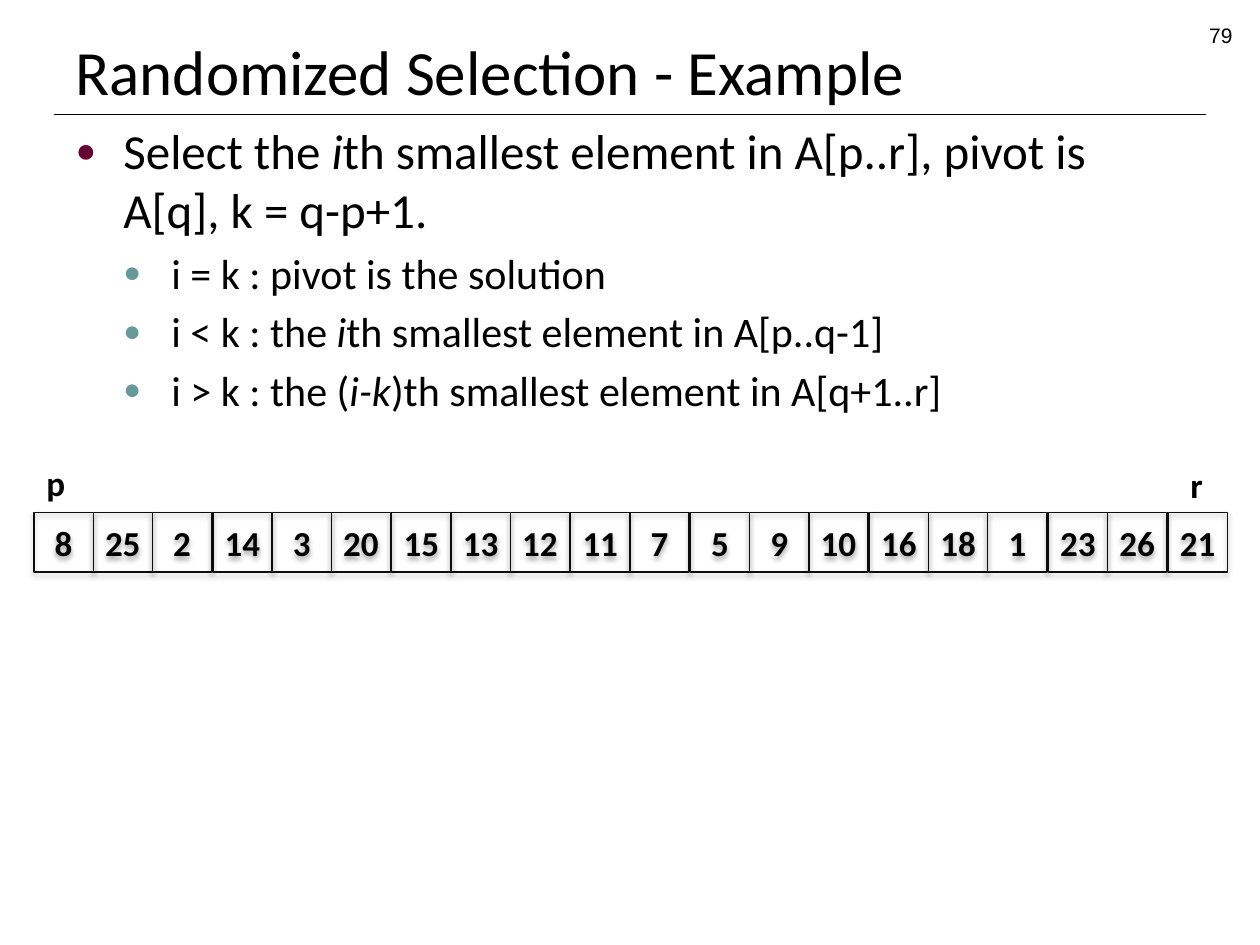
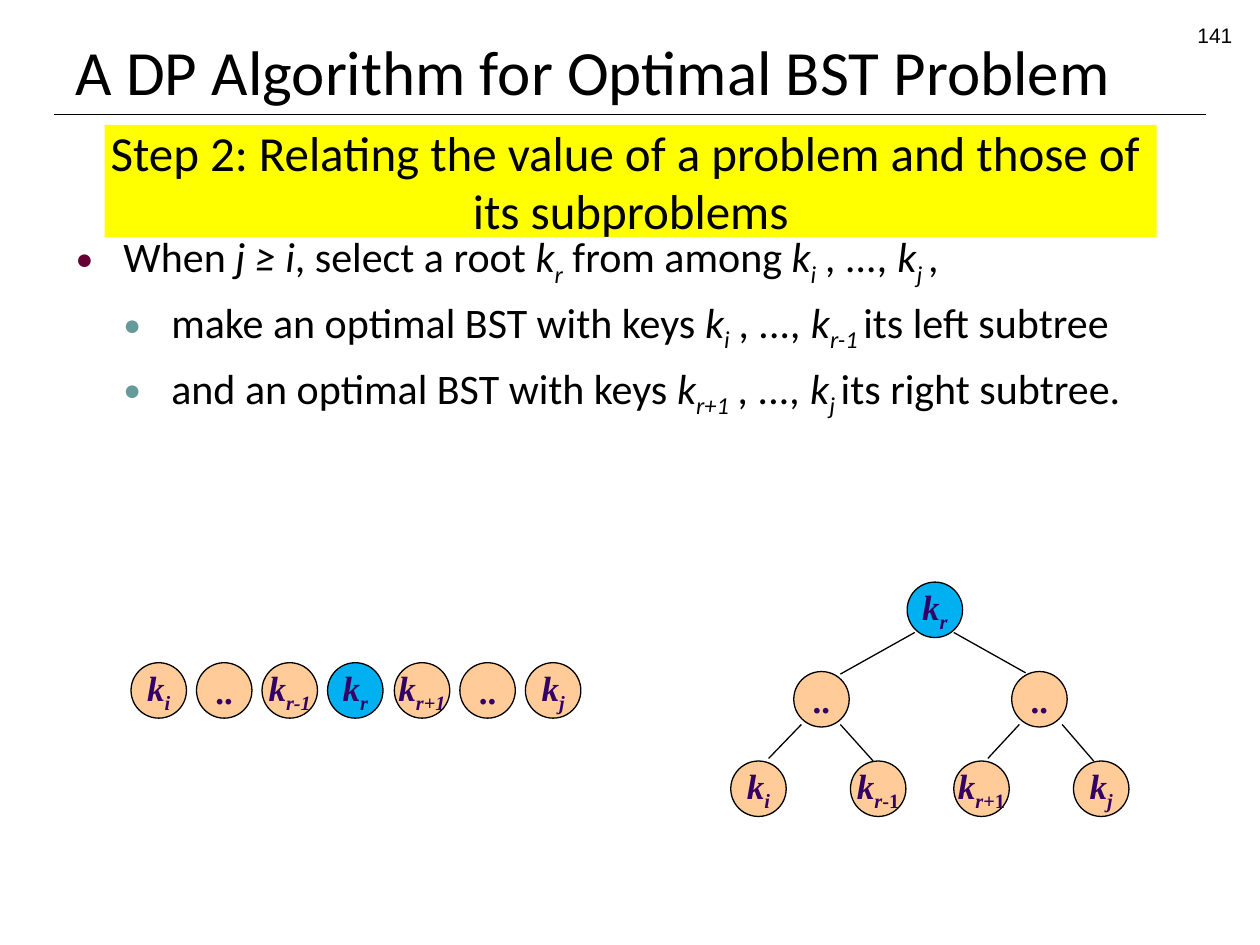
"""Build two algorithm slides: randomized selection and optimal BST."""
from lxml import etree
from pptx import Presentation
from pptx.dml.color import RGBColor
from pptx.enum.shapes import MSO_CONNECTOR, MSO_SHAPE
from pptx.enum.text import MSO_ANCHOR, PP_ALIGN
from pptx.oxml.ns import qn
from pptx.util import Emu, Pt

RECT, OVAL = MSO_SHAPE.RECTANGLE, MSO_SHAPE.OVAL
LINE = MSO_CONNECTOR.STRAIGHT
LEFT, MID, RIGHT = PP_ALIGN.LEFT, PP_ALIGN.CENTER, PP_ALIGN.RIGHT
CENTER, BOTTOM = MSO_ANCHOR.MIDDLE, MSO_ANCHOR.BOTTOM

SCALE = 9144
BLACK, EDGE, YELLOW = "000000", "0D0D0D", "FFFF00"
PEACH, BLUE, INK = "FFCC99", "00B0F0", "330066"
BULLETS = ("660033", "669999")
SANS, SERIF, PLAIN = "Calibri", "Times New Roman", "Arial"
NODE = 44


def px(*nums):
    return [Emu(num * SCALE) for num in nums]


def color(code):
    return RGBColor.from_string(code)


def child(node, tag, **attrs):
    return etree.SubElement(node, qn(tag), attrs)


class Deck:
    def __init__(self):
        self.show = Presentation()
        self.show.slide_width, self.show.slide_height = px(1000, 750)
        self.slide = None

    def page(self, title, number):
        self.slide = self.show.slides.add_slide(self.show.slide_layouts[1])
        self.line((43, 91), (957, 91))
        head = self.slide.shapes.title
        self.place(head, (50, 13, 900, 78))
        head.text_frame.vertical_anchor = BOTTOM
        self.text(head.text_frame, [[(title, "")]], 36, align=LEFT)
        self.label((755, 13, 233, 28), number, 12, PLAIN, align=RIGHT, wrap=True)

    def place(self, shape, box):
        shape.left, shape.top, shape.width, shape.height = px(*box)

    def runs(self, para, parts, size, font=SANS, ink=BLACK, bold=False):
        for text, style in parts:
            run = para.add_run()
            run.text = text
            face = run.font
            face.size, face.name, face.bold = Pt(size), font, bold
            face.italic = "i" in style
            face.color.rgb = color(ink)
            if "s" in style:
                run._r.get_or_add_rPr().set("baseline", "-25000")

    def text(self, frame, lines, size, font=SANS, ink=BLACK, bold=False, align=MID):
        for spot, parts in enumerate(lines):
            para = frame.add_paragraph() if spot else frame.paragraphs[0]
            para.alignment = align
            self.runs(para, parts, size, font, ink, bold)

    def body(self, box, items):
        holder = self.slide.placeholders[1]
        self.place(holder, box)
        frame = holder.text_frame
        for spot, (level, size, parts) in enumerate(items):
            para = frame.add_paragraph() if spot else frame.paragraphs[0]
            para.level = level
            props = para._p.get_or_add_pPr()
            step = 38 * SCALE
            props.set("marL", str(step * (level + 1)))
            props.set("indent", str(-step))
            child(child(props, "a:buClr"), "a:srgbClr", val=BULLETS[level])
            child(props, "a:buSzPct", val="70000")
            child(props, "a:buFont", typeface=PLAIN)
            child(props, "a:buChar", char="●")
            if not spot:
                para.space_before = Pt(0)
            self.runs(para, parts, size)

    def label(self, box, text, size, font=SANS, bold=False, align=LEFT, wrap=False):
        frame = self.slide.shapes.add_textbox(*px(*box)).text_frame
        frame.word_wrap = wrap
        self.text(frame, [[(text, "")]], size, font, bold=bold, align=align)

    def shape(self, kind, box, lines, size, fill=None, edge=None, **look):
        shape = self.slide.shapes.add_shape(kind, *px(*box))
        shape.shadow.inherit = False
        if fill:
            shape.fill.solid()
            shape.fill.fore_color.rgb = color(fill)
        else:
            shape.fill.background()
        if edge:
            shape.line.color.rgb = color(edge)
            shape.line.width = Pt(0.75)
        else:
            shape.line.fill.background()
        frame = shape.text_frame
        frame.word_wrap = False
        frame.vertical_anchor = CENTER
        self.text(frame, lines, size, **look)
        return shape

    def cell(self, box, text):
        shape = self.shape(RECT, box, [[(text, "")]], 20, edge=EDGE, bold=True)
        effects = shape._element.spPr.find(qn("a:effectLst"))
        shade = child(effects, "a:outerShdw", blurRad=str(Pt(3.1)),
                      dist=str(Pt(1.8)), dir="5400000", rotWithShape="0")
        tint = child(shade, "a:srgbClr", val=BLACK)
        child(tint, "a:alpha", val="35000")

    def node(self, left, top, parts, fill=PEACH):
        self.shape(OVAL, (left, top, NODE, NODE), [parts], 20, fill, BLACK,
                   font=SERIF, ink=INK, bold=True)

    def line(self, start, end):
        wire = self.slide.shapes.add_connector(LINE, *px(*start, *end))
        wire.line.color.rgb = color(BLACK)
        wire.line.width = Pt(0.75)
        child(wire._element.spPr, "a:effectLst")


def select(deck):
    deck.page("Randomized Selection - Example", "79")
    deck.body((50, 91, 900, 669), [
        (0, 28, [("Select the ", ""), ("i", "i"),
                 ("th smallest element in A[p..r], pivot is A[q], k = q-p+1.", "")]),
        (1, 24, [("i = k : pivot is the solution", "")]),
        (1, 24, [("i < k : the ", ""), ("i", "i"),
                 ("th smallest element in A[p..q-1]", "")]),
        (1, 24, [("i > k : the (", ""), ("i-k", "i"),
                 (")th smallest element in A[q+1..r]", "")]),
    ])
    values = (8, 25, 2, 14, 3, 20, 15, 13, 12, 11,
              7, 5, 9, 10, 16, 18, 1, 23, 26, 21)
    for spot, value in enumerate(values):
        deck.cell((27 + 900 * spot // 19, 407, 47, 47), str(value))
    deck.label((27, 361, 35, 44), "p", 20, bold=True)
    deck.label((935, 363, 30, 44), "r", 20, bold=True)


def tree(deck):
    deck.page("A DP Algorithm for Optimal BST Problem", "141")
    deck.shape(RECT, (83, 99, 835, 89), [
        [("Step 2: Relating the value of a problem and those of ", "")],
        [("its subproblems", "")],
    ], 28, YELLOW)
    deck.body((50, 178, 900, 630), [
        (0, 24, [("When ", ""), ("j ≥ i", "i"), (", select a root ", ""),
                 ("k", "i"), ("r", "is"), (" from among ", ""), ("k", "i"),
                 ("i", "is"), (" , ..., k", "i"), ("j ", "is"), (",", "")]),
        (1, 24, [("make an optimal BST with keys ", ""), ("k", "i"), ("i", "is"),
                 (" , ..., k", "i"), ("r-1 ", "is"), ("its left subtree", "")]),
        (1, 24, [("and an optimal BST with keys ", ""), ("k", "i"), ("r+1", "is"),
                 (" , ..., k", "i"), ("j ", "is"), ("its right subtree.", "")]),
    ])
    dots = [("..", "")]
    first, root, last = ([("k", "i"), (sub, "is")] for sub in "irj")
    prev, after = ([("k", "i"), (sub, "is")] for sub in ("r-1", "r+1"))
    less, more = ([("k", "i"), ("r", "is"), (sub, "s")] for sub in ("-1", "+1"))

    for spot, key in enumerate((first, dots, prev, root, after, dots, last)):
        deck.node(round(104 + 313 * spot / 6), 526, key,
                  BLUE if key is root else PEACH)

    for start, end in (
        ((757, 502), (814, 534)), ((726, 502), (667, 535)),
        ((667, 575), (693, 604)), ((636, 575), (610, 602)),
        ((843, 575), (868, 604)), ((809, 575), (784, 602)),
    ):
        deck.line(start, end)
    rows = (
        ((720, root),),
        ((630, dots), (803, dots)),
        ((580, first), (675, less), (757, more), (852, last)),
    )
    for depth, row in enumerate(rows):
        for left, key in row:
            deck.node(left, 462 + 71 * depth, key, PEACH if depth else BLUE)


def main():
    deck = Deck()
    select(deck)
    tree(deck)
    deck.show.save("out.pptx")


if __name__ == "__main__":
    main()
